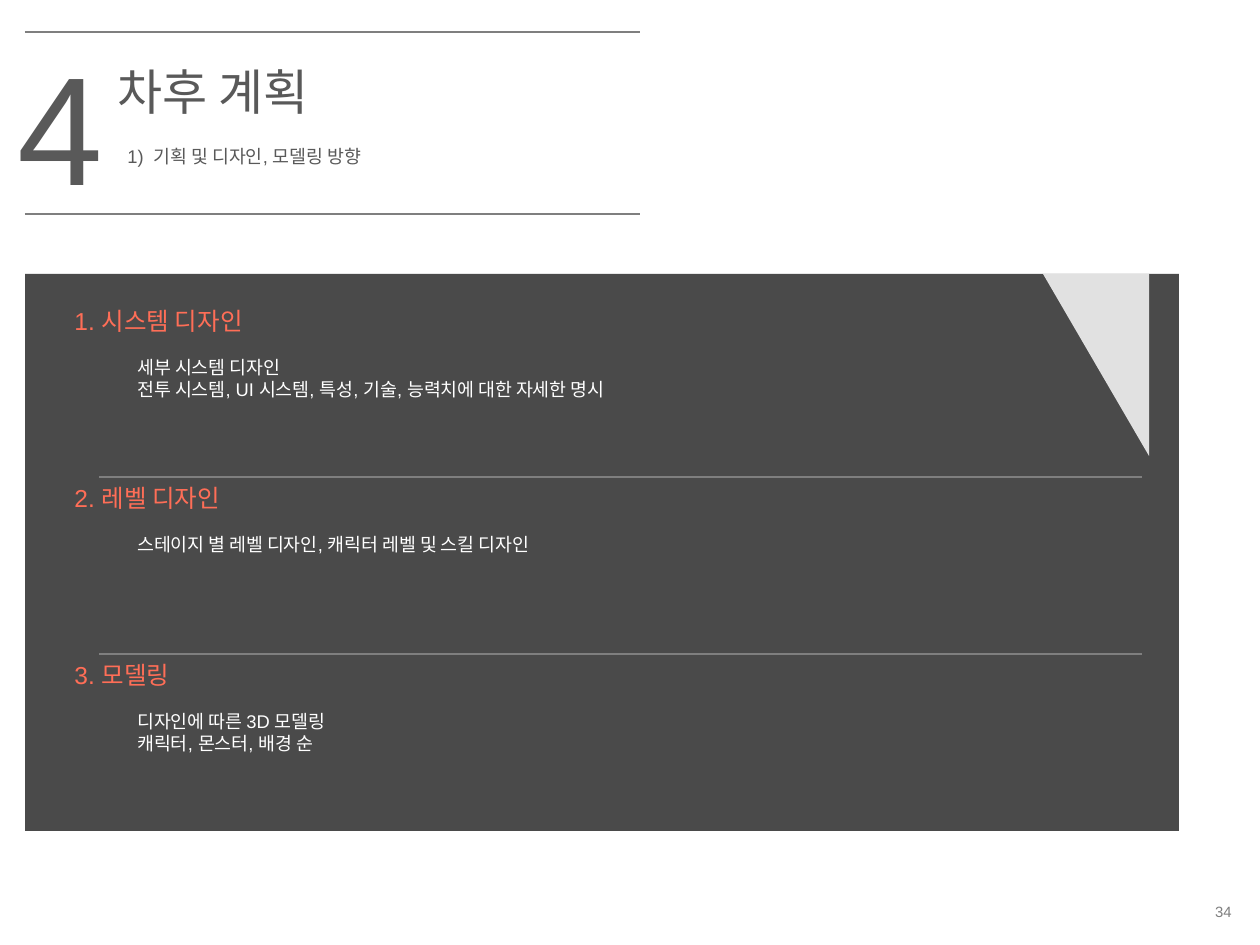
from dataclasses import dataclass

import pptx
import pptx.dml.color
import pptx.enum.shapes
import pptx.enum.text
import pptx.oxml
import pptx.oxml.ns
import pptx.util

PX_PER_INCH = 126
FONT = "Arial"
GRAY, LINE_GRAY = "595959", "7F7F7F"
CORAL, WHITE, BLACK = "FF6E57", "FFFFFF", "0C0C0C"
HANGING = 48
BODY_INDENT = 111
SHAPES = pptx.enum.shapes.MSO_SHAPE
ALIGN = pptx.enum.text.PP_ALIGN
ANCHOR = pptx.enum.text.MSO_ANCHOR


@dataclass
class Box:
    left: int
    top: int
    width: int
    height: int


@dataclass
class Line:
    text: str
    size: float
    color: str
    indent: int = HANGING
    space_before: float = 0
    spacing: float = 1.0


@dataclass
class Section:
    title: str
    details: list[str]


def px(value: int) -> int:
    return pptx.util.Emu(round(value * 914400 / PX_PER_INCH))


def rgb(color: str) -> pptx.dml.color.RGBColor:
    return pptx.dml.color.RGBColor.from_string(color)


def add_text(slide, box: Box, lines: list[Line]):
    shape = slide.shapes.add_textbox(px(box.left), px(box.top), px(box.width), px(box.height))
    frame = shape.text_frame
    frame.word_wrap = True
    frame.text = "\n".join(line.text for line in lines)
    for paragraph, line in zip(frame.paragraphs, lines):
        properties = paragraph._p.get_or_add_pPr()
        properties.set("marL", str(px(line.indent)))
        properties.set("indent", str(px(-HANGING)))
        paragraph.line_spacing = line.spacing
        if line.space_before:
            paragraph.space_before = pptx.util.Pt(line.space_before)
        for run in paragraph.runs:
            run.font.name = FONT
            run.font.size = pptx.util.Pt(line.size)
            run.font.color.rgb = rgb(line.color)
    return frame


def add_rule(slide, left: int, right: int, top: int) -> None:
    connector = slide.shapes.add_connector(
        pptx.enum.shapes.MSO_CONNECTOR.STRAIGHT, px(left), px(top), px(right), px(top))
    connector.line.color.rgb = rgb(LINE_GRAY)
    connector.line.width = pptx.util.Pt(0.75)
    connector._element.spPr.append(pptx.oxml.parse_xml(
        f"<a:effectLst {pptx.oxml.ns.nsdecls('a')}/>"))


def add_filled(slide, kind, box: Box, color: str, opacity: int):
    shape = slide.shapes.add_shape(
        kind, px(box.left), px(box.top), px(box.width), px(box.height))
    shape.shadow.inherit = False
    shape.line.fill.background()
    shape.fill.solid()
    shape.fill.fore_color.rgb = rgb(color)
    color_element = shape._element.spPr.find(".//" + pptx.oxml.ns.qn("a:srgbClr"))
    color_element.append(pptx.oxml.parse_xml(
        f"<a:alpha {pptx.oxml.ns.nsdecls('a')} val=\"{opacity * 1000}\"/>"))
    return shape


def add_section(slide, number: int, section: Section, top: int) -> None:
    lines = [Line(f"{number}. {section.title}", 14, CORAL)]
    for index, detail in enumerate(section.details):
        gap = 12 if index == 0 else 0
        lines.append(Line(detail, 10.5, WHITE, BODY_INDENT, gap))
    add_text(slide, Box(62, top, 1118, 165), lines)


SECTIONS = [
    Section("시스템 디자인", [
        "세부 시스템 디자인",
        "전투 시스템, UI 시스템, 특성, 기술, 능력치에 대한 자세한 명시"]),
    Section("레벨 디자인", ["스테이지 별 레벨 디자인, 캐릭터 레벨 및 스킬 디자인"]),
    Section("모델링", ["디자인에 따른 3D 모델링", "캐릭터, 몬스터, 배경 순"]),
]
SECTION_TOP, SECTION_STEP = 300, 177


def main() -> None:
    presentation = pptx.Presentation()
    presentation.slide_width = px(1260)
    presentation.slide_height = px(945)
    slide = presentation.slides.add_slide(presentation.slide_layouts[6])

    # Slide number
    frame = add_text(slide, Box(978, 895, 266, 34), [Line("34", 8.5, LINE_GRAY)])
    frame.vertical_anchor = ANCHOR.MIDDLE
    frame.paragraphs[0].alignment = ALIGN.RIGHT

    # Header between two rules
    add_text(slide, Box(105, 55, 566, 72), [Line("차후 계획", 28, GRAY)])
    add_text(slide, Box(115, 125, 576, 73),
             [Line("1)  기획 및 디자인, 모델링 방향", 10.5, GRAY, spacing=1.62)])
    add_text(slide, Box(5, 25, 149, 199), [Line("4", 88, GRAY)])
    for top in (32, 214):
        add_rule(slide, 25, 640, top)

    # Dark panel with its sections
    add_filled(slide, SHAPES.RECTANGLE, Box(25, 274, 1154, 557), BLACK, 74)
    for index, section in enumerate(SECTIONS):
        top = SECTION_TOP + index * SECTION_STEP
        add_section(slide, index + 1, section, top)
        if index:
            add_rule(slide, 99, 1142, top)

    # Corner triangle, turned so that its right angle is at the top right
    triangle = add_filled(slide, SHAPES.ISOSCELES_TRIANGLE, Box(1005, 312, 182, 106), WHITE, 84)
    triangle.adjustments[0] = 1
    triangle.rotation = 270

    presentation.save("out.pptx")


if __name__ == "__main__":
    main()
